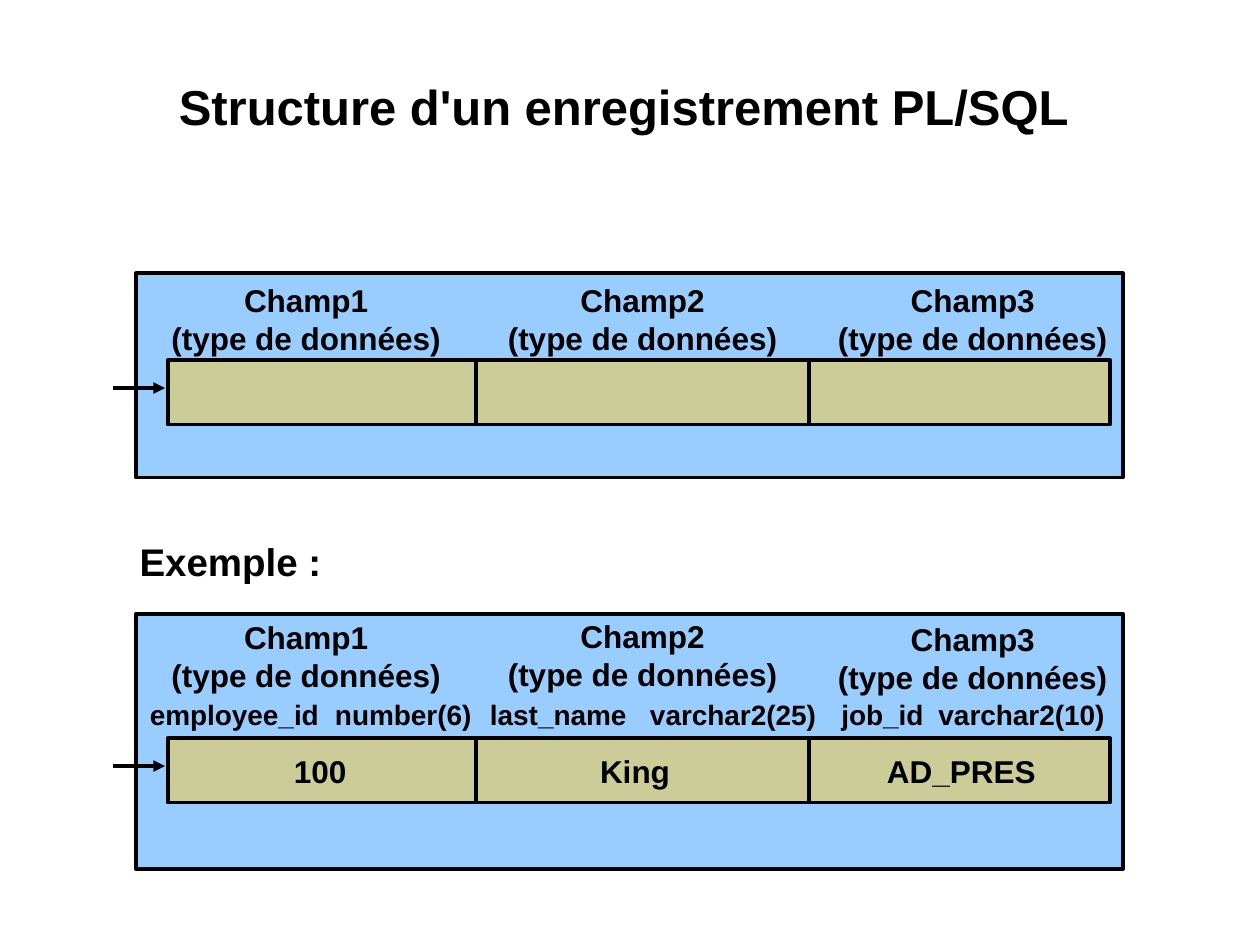
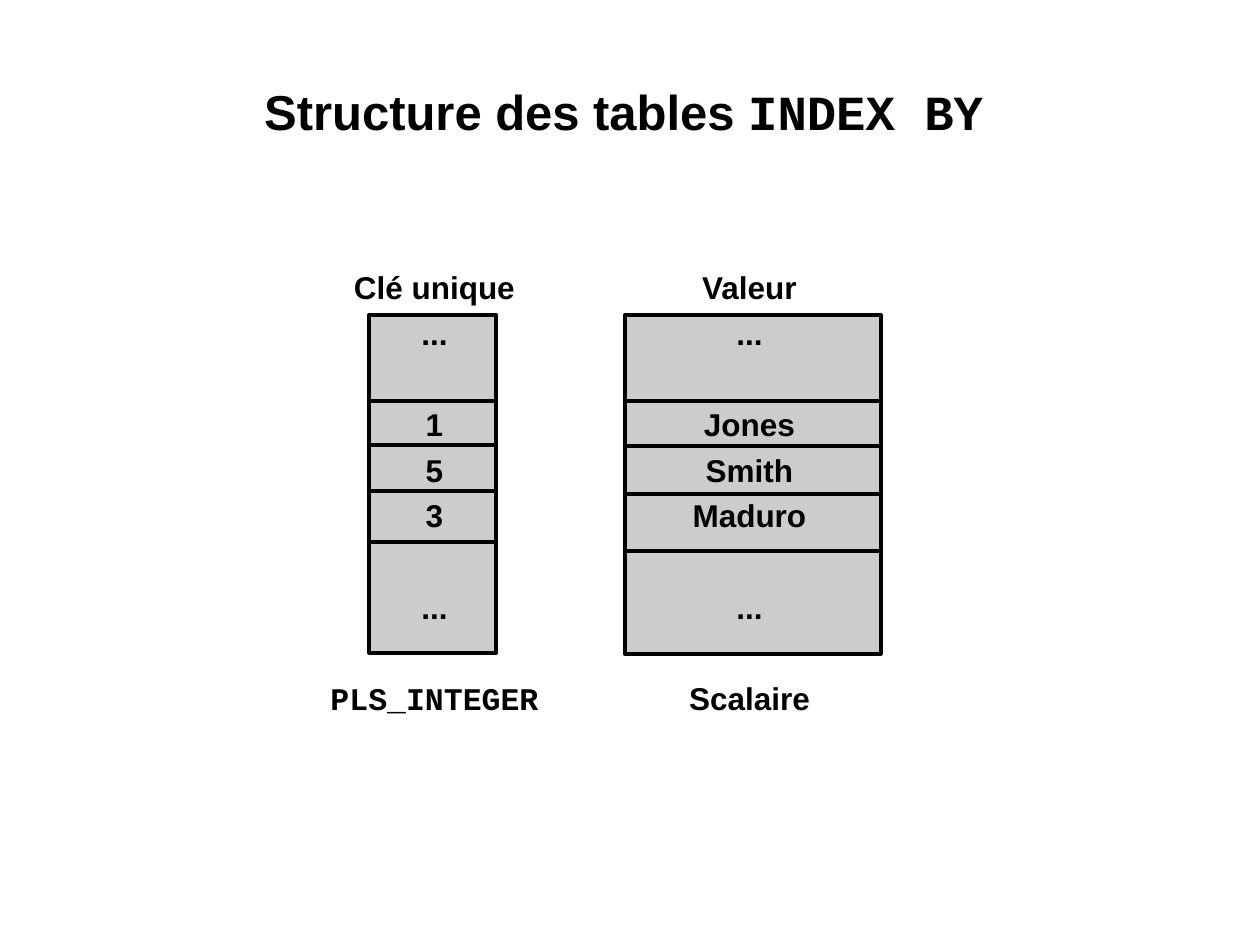
import pptx
import pptx.dml.color
import pptx.enum.shapes
import pptx.enum.text
import pptx.oxml.ns
import pptx.util
from lxml import etree

PX = 9144  # one hundredth of an inch
COLORS = {"ink": "000000", "frame": "99CCFF", "field": "CCCC99", "column": "CCCCCC"}
BODY, CODE = "Arial", "Courier New"
LEFT, CENTER = pptx.enum.text.PP_ALIGN.LEFT, pptx.enum.text.PP_ALIGN.CENTER
TOP, MIDDLE = pptx.enum.text.MSO_ANCHOR.TOP, pptx.enum.text.MSO_ANCHOR.MIDDLE


def color(name):
    return pptx.dml.color.RGBColor.from_string(COLORS[name])


def write(page, at, lines, size, align=LEFT, anchor=TOP, tabs=(), before=()):
    """Add a text box; each line is a list of (text, font), tabs are (px, alignment)."""
    box = page.shapes.add_textbox(*[value * PX for value in at])
    frame = box.text_frame
    frame.word_wrap = True
    frame.vertical_anchor = anchor
    for number, line in enumerate(lines):
        para = frame.add_paragraph() if number else frame.paragraphs[0]
        para.alignment = align
        if before:
            para.space_before = pptx.util.Pt(before[number])
        if tabs:
            properties = para._p.get_or_add_pPr()
            stops = etree.SubElement(properties, pptx.oxml.ns.qn("a:tabLst"))
            for position, kind in tabs:
                etree.SubElement(stops, pptx.oxml.ns.qn("a:tab"),
                                 pos=str(position * PX), algn=kind)
        for text, font in line:
            span = para.add_run()
            span.text = text
            style = {"name": font, "size": pptx.util.Pt(size), "bold": True}
            for key, value in style.items():
                setattr(span.font, key, value)
            span.font.color.rgb = color("ink")


def draw(page, left, top, right, bottom, fill=None, arrow=False):
    """Draw a filled rectangle, or a straight line when there is no fill."""
    if fill:
        item = page.shapes.add_shape(
            pptx.enum.shapes.MSO_SHAPE.RECTANGLE,
            left * PX, top * PX, (right - left) * PX, (bottom - top) * PX)
        item.shadow.inherit = False
        item.fill.solid()
        item.fill.fore_color.rgb = color(fill)
    else:
        item = page.shapes.add_connector(
            pptx.enum.shapes.MSO_CONNECTOR.STRAIGHT,
            left * PX, top * PX, right * PX, bottom * PX)
    item.line.color.rgb = color("ink")
    item.line.width = pptx.util.Pt(2.25)
    if arrow:
        etree.SubElement(item.line._get_or_add_ln(), pptx.oxml.ns.qn("a:tailEnd"),
                         type="triangle")
    if not fill:
        etree.SubElement(item._element.spPr, pptx.oxml.ns.qn("a:effectLst"))


deck = pptx.Presentation()
deck.slide_width, deck.slide_height = 1000 * PX, 750 * PX
titles = [
    (56, [("Structure d'un enregistrement PL/SQL", BODY)]),
    (60, [("Structure des tables ", BODY), ("INDEX BY", CODE)]),
]
pages = []
for title_top, title in titles:
    page = deck.slides.add_slide(deck.slide_layouts[6])
    write(page, (95, title_top, 800, 96), [title], 28, CENTER)
    pages.append(page)
record_page, table_page = pages

# Records: an outer frame, a bar of three fields and an arrow pointing at it
records = [
    {"frame": (217, 379), "bar": 286, "headings": (218, 218, 218)},
    {"frame": (487, 690), "bar": 586, "headings": (486, 485, 487)},
]
heading_lefts = (121, 388, 650)
for record in records:
    frame_top, frame_bottom = record["frame"]
    bar = record["bar"]
    draw(record_page, 108, frame_top, 891, frame_bottom, "frame")
    draw(record_page, 133, bar, 881, bar + 51, "field")
    draw(record_page, 90, bar + 22, 131, bar + 22, arrow=True)
    for divider in (378, 642):
        draw(record_page, divider, bar + 1, divider, bar + 52)
    for number, (left, top) in enumerate(zip(heading_lefts, record["headings"]), 1):
        heading = [[(f"Champ{number}", BODY)], [("(type de données)", BODY)]]
        write(record_page, (left, top, 244, 70), heading, 18, CENTER)

write(record_page, (101, 422, 801, 45), [[("Exemple :", BODY)]], 22)

# Example: left and width of the declaration, its tab stop, centre of the value
example_fields = [
    (109, 281, "employee_id\tnumber(6)", 147, "100", 254),
    (379, 285, "last_name\tvarchar2(25)", 127, "King", 504),
    (658, 236, "job_id\tvarchar2(10)", 77, "AD_PRES", 763),
]
for left, width, declaration, stop, value, center in example_fields:
    write(record_page, (left, 549, width, 37), [[(declaration, BODY)]], 16,
          tabs=[(stop, "l")])
    write(record_page, (center - 100, 586, 200, 51), [[(value, BODY)]], 18,
          CENTER, MIDDLE)

# INDEX BY table: key and value columns with their row dividers
columns = [
    (293, 394, 518, (318, 353, 390, 430)),
    (496, 699, 519, (318, 354, 392, 437)),
]
for left, right, bottom, dividers in columns:
    draw(table_page, left, 250, right, bottom, "column")
    for divider in dividers:
        draw(table_page, left, divider, right, divider)

NEAR, FAR = 4.5, 30.5  # space before a following row, and after a skipped one
rows = [
    ("Clé unique", "Valeur", BODY, NEAR),
    ("...", "...", BODY, NEAR),
    ("1", "Jones", BODY, FAR),
    ("5", "Smith", BODY, NEAR),
    ("3", "Maduro", BODY, NEAR),
    ("...", "...", BODY, FAR),
    ("PLS_INTEGER", "Scalaire", CODE, FAR),
]
write(table_page, (184, 208, 550, 366),
      [[(f"\t{key}\t", font), (value, BODY)] for key, value, font, gap in rows], 18,
      tabs=[(151, "ctr"), (401, "ctr")], before=[row[3] for row in rows])

deck.save("out.pptx")
